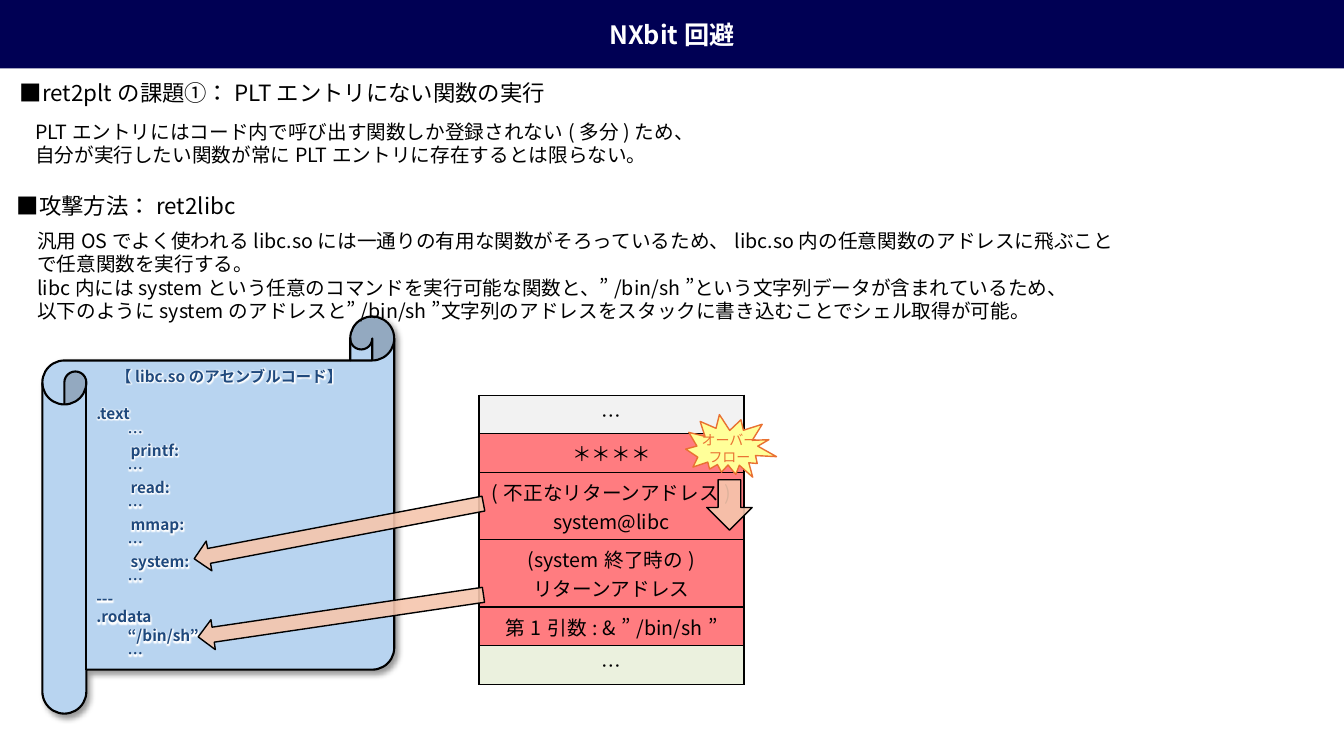
from lxml import etree
from pptx import Presentation
from pptx import util as u
from pptx.dml.color import RGBColor
from pptx.enum import lang, shapes, text
from pptx.oxml import parse_xml
from pptx.oxml.ns import nsdecls, qn

FONT = "Noto Sans CJK JP"
BLACK = RGBColor(0x00, 0x00, 0x00)
WHITE = RGBColor(0xFF, 0xFF, 0xFF)
NAVY = RGBColor(0x00, 0x00, 0x54)
BLUE = RGBColor(0x1F, 0x49, 0x7D)
PAPER = RGBColor(0xB8, 0xD4, 0xF0)
GRAY = RGBColor(0xF2, 0xF2, 0xF2)
RED = RGBColor(0xFF, 0x7C, 0x80)
GREEN = RGBColor(0xEB, 0xF1, 0xDE)
YELLOW = RGBColor(0xFF, 0xFF, 0x99)
ORANGE = RGBColor(0xE9, 0x71, 0x32)
PEACH = RGBColor(0xF6, 0xC6, 0xAD)

LEFT, CENTER = text.PP_ALIGN.LEFT, text.PP_ALIGN.CENTER
MIDDLE = text.MSO_ANCHOR.MIDDLE
SHAPE = shapes.MSO_SHAPE

prs = Presentation()
prs.slide_width, prs.slide_height = u.Inches(13.33), u.Inches(7.5)
col, row = prs.slide_width / 1333, prs.slide_height / 750
s = prs.slides.add_slide(prs.slide_layouts[6])


def grid(x, y, w, h):
    return int(x * col), int(y * row), int(w * col), int(h * row)


def write(tf, lines, size=14, color=BLACK, bold=False, align=LEFT, glow=False):
    for i, line in enumerate(lines):
        p = tf.paragraphs[0] if i == 0 else tf.add_paragraph()
        p.alignment = align
        r = p.add_run()
        r.text = line
        r.font.size, r.font.bold = u.Pt(size), bold
        r.font.language_id = lang.MSO_LANGUAGE_ID.JAPANESE
        r.font.color.rgb = color
        r.font.name = FONT
        latin = r.font._element.find(qn("a:latin"))
        latin.addnext(parse_xml(f'<a:ea {nsdecls("a")} typeface="{FONT}"/>'))
        if glow:
            latin.addprevious(parse_xml(
                f'<a:effectLst {nsdecls("a")}><a:glow rad="63500">'
                f'<a:srgbClr val="{WHITE}"/></a:glow></a:effectLst>'))


sp = s.shapes.add_shape(SHAPE.RECTANGLE, *grid(0, 0, 1333, 68))
sp.shadow.inherit = False
sp.fill.solid()
sp.fill.fore_color.rgb = NAVY
sp.line.fill.background()
sp.text_frame.vertical_anchor = MIDDLE
write(sp.text_frame, ["NXbit回避"], size=18, color=WHITE, bold=True, align=CENTER)

stack = [
    (["…"], GRAY),
    (["＊＊＊＊"], RED),
    (["(不正なリターンアドレス)", "system@libc"], RED),
    (["(system終了時の)", "リターンアドレス"], RED),
    (["第1引数: &”/bin/sh”"], RED),
    (["…"], GREEN),
]
frame = s.shapes.add_table(len(stack), 1, *grid(475, 392, 263, 255))
for i, (lines, color) in enumerate(stack):
    frame.table.rows[i].height = int(35 * row)
    cell = frame.table.cell(i, 0)
    cell.fill.solid()
    cell.fill.fore_color.rgb = color
    cell.vertical_anchor = MIDDLE
    write(cell.text_frame, lines, align=CENTER)
    for k, side in enumerate(("lnL", "lnR", "lnT", "lnB")):
        cell._tc.get_or_add_tcPr().insert(k, parse_xml(
            f'<a:{side} {nsdecls("a")} w="12700"><a:solidFill>'
            f'<a:srgbClr val="{BLACK}"/></a:solidFill></a:{side}>'))
frame.height = int(255 * row)

burst = s.shapes.add_group_shape()
sp = burst.shapes.add_shape(SHAPE.EXPLOSION2, *grid(681, 409, 88, 70))
sp.shadow.inherit = False
sp.rotation = 28.4
sp.fill.solid()
sp.fill.fore_color.rgb = YELLOW
sp.line.color.rgb, sp.line.width = ORANGE, u.Pt(1)
tf = burst.shapes.add_textbox(*grid(682, 423, 83, 40)).text_frame
tf.word_wrap = True
tf.auto_size = text.MSO_AUTO_SIZE.SHAPE_TO_FIT_TEXT
write(tf, ["オーバー", "フロー"], size=10, color=ORANGE, align=CENTER)

sp = s.shapes.add_shape(SHAPE.HORIZONTAL_SCROLL, *grid(42, 314, 349, 394))
sp.fill.solid()
sp.fill.fore_color.rgb = PAPER
sp.line.color.rgb, sp.line.width = BLACK, u.Pt(1.5)
sp.shadow.inherit = False
shadow = etree.SubElement(sp._element.spPr.find(qn("a:effectLst")), qn("a:outerShdw"),
                          blurRad="50800", dist="38100", dir="2700000")
shade = etree.SubElement(shadow, qn("a:srgbClr"), val=str(BLACK))
etree.SubElement(shade, qn("a:alpha"), val="40000")
tf = sp.text_frame
tf.word_wrap = False
tf.vertical_anchor = MIDDLE
code = ["【libc.soのアセンブルコード】", ".text", "…"]
for name in ("printf:", "read:", "mmap:", "system:"):
    code += [name, "…"]
code += ["---", ".rodata", "“/bin/sh”", "…"]
write(tf, code, size=11, color=BLUE, bold=True, glow=True)
tf.paragraphs[0].alignment = CENTER
tf.paragraphs[0].space_after = u.Pt(13.2)
for p in tf.paragraphs[1:]:
    if p.text not in (".text", "---", ".rodata"):
        indent = 34 if p.text.endswith(":") else 31
        p._p.get_or_add_pPr().set("marL", str(int(indent * col)))

notes = [
    (25, 114, 1075, 57, 14, [
        "PLTエントリにはコード内で呼び出す関数しか登録されない(多分)ため、",
        "自分が実行したい関数が常にPLTエントリに存在するとは限らない。"]),
    (10, 74, 593, 37, 16, ["■ret2pltの課題①：PLTエントリにない関数の実行"]),
    (7, 186, 636, 37, 16, ["■攻撃方法：ret2libc"]),
    (27, 222, 1091, 81, 14, [
        "汎用OSでよく使われるlibc.soには一通りの有用な関数がそろっているため、"
        "libc.so内の任意関数のアドレスに飛ぶことで任意関数を実行する。",
        "libc内にはsystemという任意のコマンドを実行可能な関数と、"
        "”/bin/sh”という文字列データが含まれているため、",
        "以下のようにsystemのアドレスと”/bin/sh”文字列のアドレスを"
        "スタックに書き込むことでシェル取得が可能。"]),
]
for x, y, w, h, size, lines in notes:
    tf = s.shapes.add_textbox(*grid(x, y, w, h)).text_frame
    tf.word_wrap = True
    tf.auto_size = text.MSO_AUTO_SIZE.SHAPE_TO_FIT_TEXT
    write(tf, lines, size=size)

arrows = [(701, 476, 45, 50, 0), (321, 381, 30, 292, 79.2), (323, 468, 30, 286, 81.6)]
for x, y, w, h, angle in arrows:
    sp = s.shapes.add_shape(SHAPE.DOWN_ARROW, *grid(x, y, w, h))
    sp.shadow.inherit = False
    sp.rotation = angle
    sp.fill.solid()
    sp.fill.fore_color.rgb = PEACH
    tint = sp._element.spPr.find(qn("a:solidFill"))[0]
    etree.SubElement(tint, qn("a:alpha"), val="90000")
    sp.line.color.rgb, sp.line.width = BLACK, u.Pt(1)

prs.save("out.pptx")
